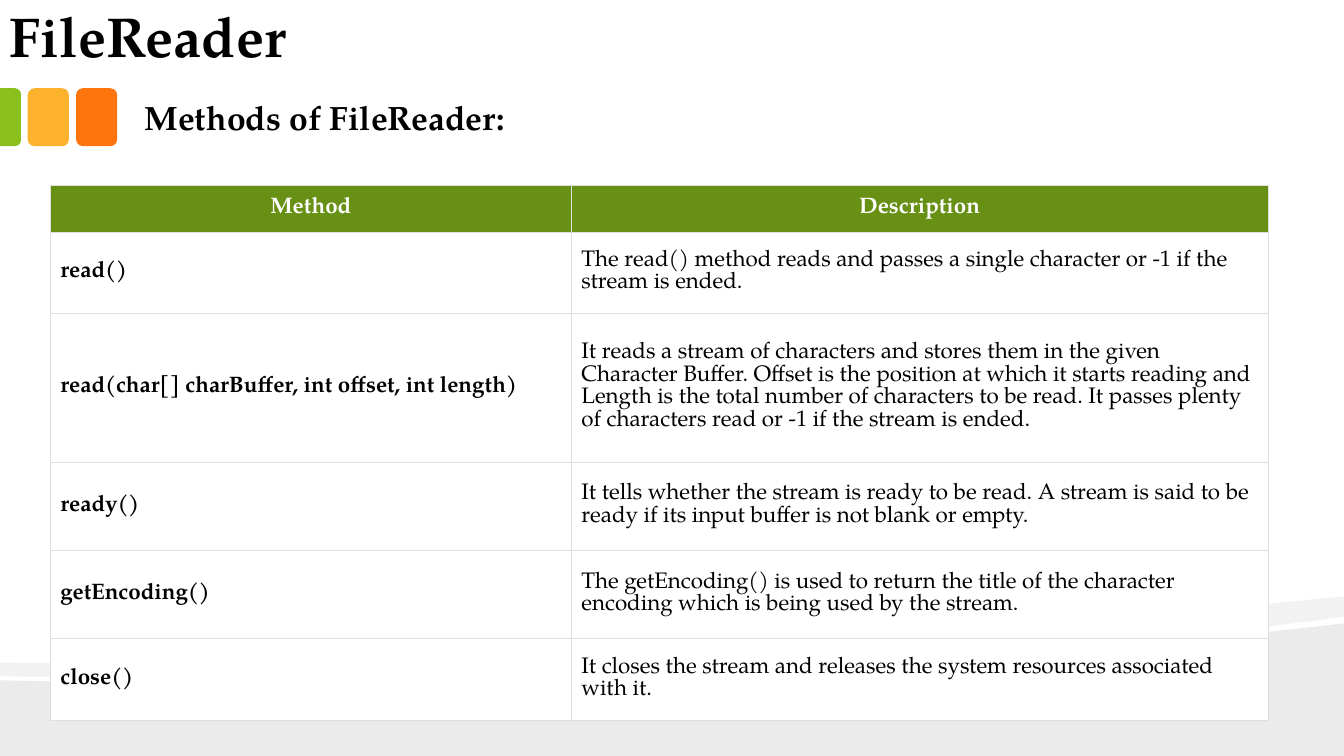
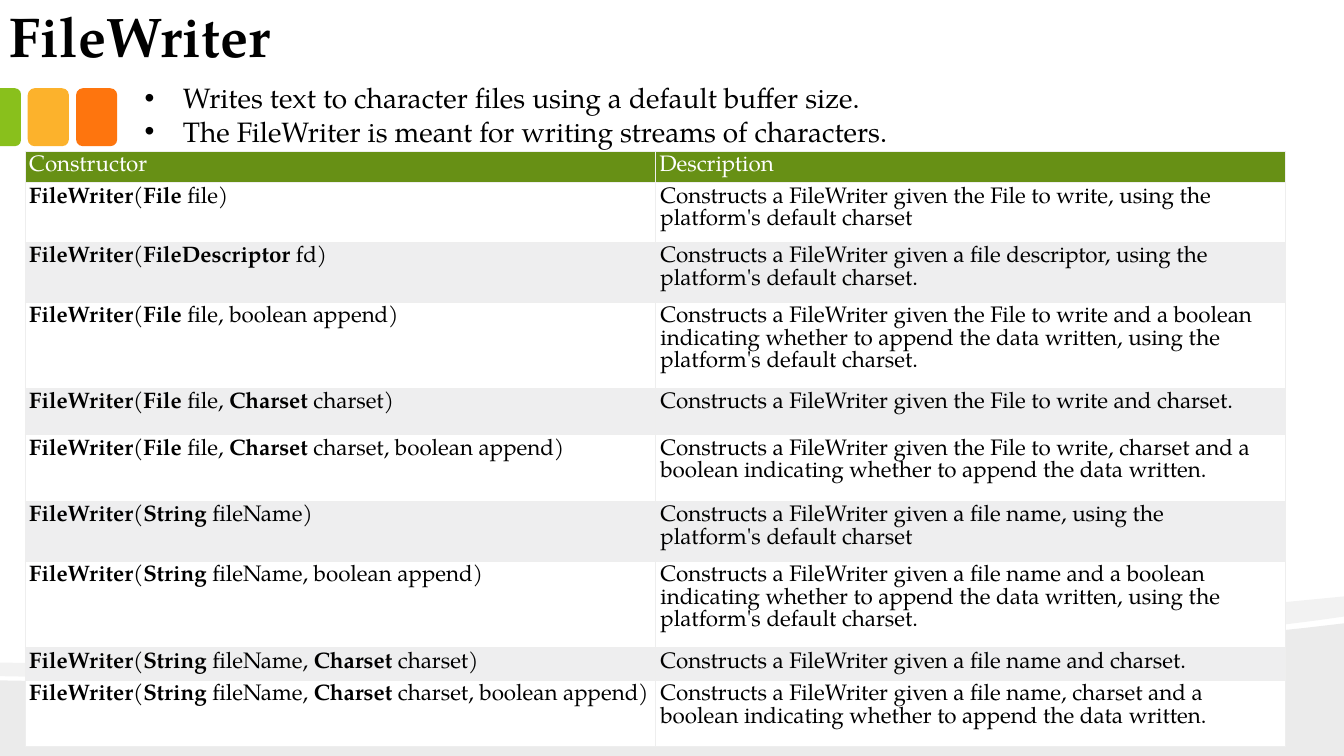
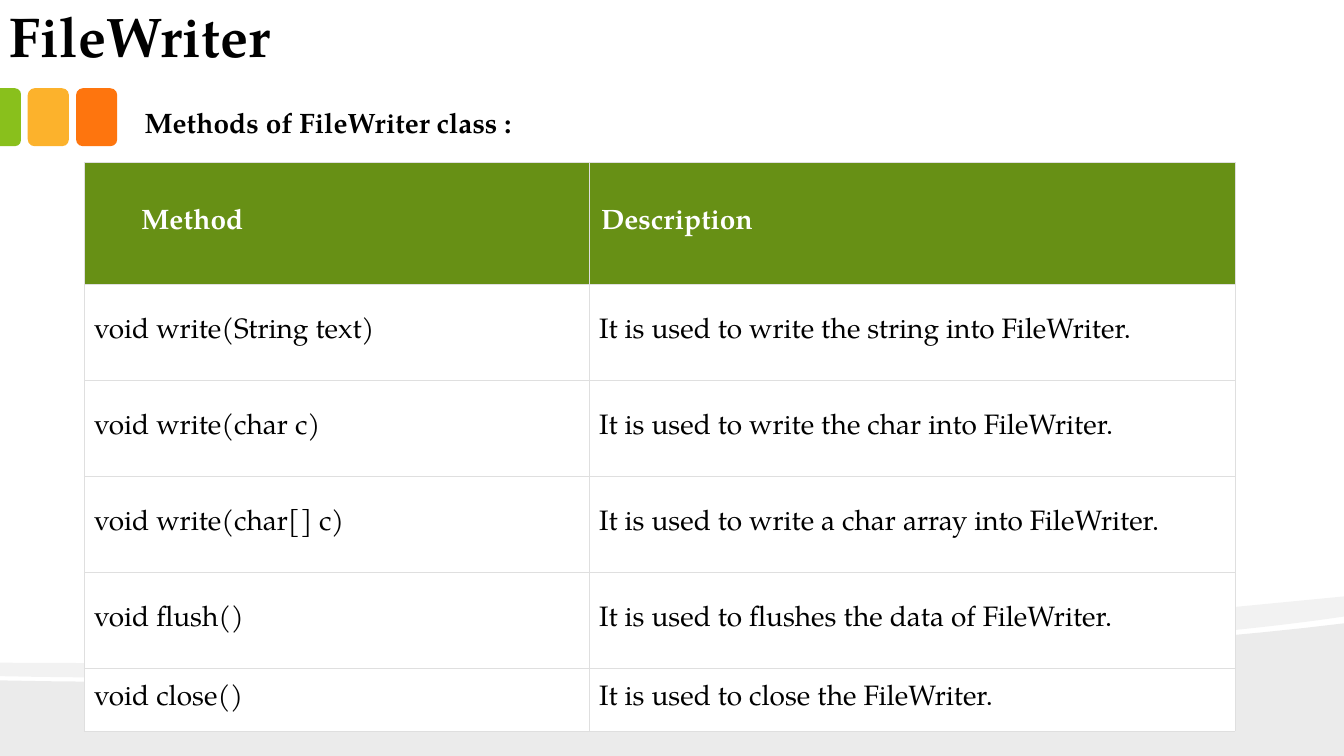
from lxml import etree
from pptx import Presentation
from pptx.dml.color import RGBColor
from pptx.enum.shapes import MSO_SHAPE
from pptx.enum.text import MSO_ANCHOR, MSO_AUTO_SIZE, PP_ALIGN
from pptx.oxml.ns import qn
from pptx.util import Emu, Inches, Pt

ROUND, TAB = MSO_SHAPE.ROUNDED_RECTANGLE, MSO_SHAPE.ROUND_2_SAME_RECTANGLE
TOP, MID, LOW = MSO_ANCHOR.TOP, MSO_ANCHOR.MIDDLE, MSO_ANCHOR.BOTTOM
LEFT, MIDDLE = PP_ALIGN.LEFT, PP_ALIGN.CENTER
FIXED = MSO_AUTO_SIZE.NONE

FACE = "TeX Gyre Pagella"
HUES = {
    "ink": "000000", "paper": "FFFFFF", "head": "679015", "stripe": "EEEEEF",
    "rule": "DFDFDF", "edge": "EEEEEE",
    "green": "89C01C", "gold": "FCB22C", "orange": "FE750E",
}
# The slide is a grid of 160 columns and 90 rows
WIDE, HIGH = Inches(13.33), Inches(7.5)
UNIT = HIGH / 90


def grid(n):
    return Emu(round(n * UNIT))


def hue(name):
    return RGBColor.from_string(HUES[name])


def style(item, **values):
    for key, value in values.items():
        setattr(item, key, value)


def place(shape, box):
    style(shape, **dict(zip(("left", "top", "width", "height"), map(grid, box))))


def inset(item, margins):
    names = ("margin_left", "margin_top", "margin_right", "margin_bottom")
    style(item, **dict(zip(names, map(Inches, margins))))


def write(para, text, size, color="ink", bold=False):
    """Fill a paragraph; parts between asterisks are bold."""
    for i, part in enumerate(text.split("*")):
        if part:
            run = para.add_run()
            run.text = part
            style(run.font, name=FACE, size=Pt(size), bold=bold or i % 2 == 1)
            run.font.color.rgb = hue(color)


# Shared backdrop
def curve(start, c1, c2, end, steps=24):
    for i in range(1, steps + 1):
        t = i / steps
        s = 1 - t
        yield tuple(s**3 * a + 3 * s * s * t * b + 3 * s * t * t * c + t**3 * d
                    for a, b, c, d in zip(start, c1, c2, end))


def paint(shape, color, alpha=None):
    shape.shadow.inherit = False
    shape.fill.solid()
    shape.fill.fore_color.rgb = hue(color)
    shape.line.fill.background()
    if alpha:
        tone = shape.element.spPr.find(".//" + qn("a:srgbClr"))
        etree.SubElement(tone, qn("a:alpha")).set("val", str(alpha * 1000))


def wave(shapes, points, alpha):
    dots = [(grid(x), grid(y)) for x, y in points]
    pen = shapes.build_freeform(*dots[0], scale=1.0)
    pen.add_line_segments(dots[1:], close=True)
    shape = pen.convert_to_shape()
    paint(shape, "ink", alpha)
    return shape


def tile(shapes, kind, box, color):
    shape = shapes.add_shape(kind, *map(grid, box))
    paint(shape, color)
    return shape


def backdrop(slide, layout):
    """Draw the waves and tiles, then hand them to the layout."""
    shapes = slide.shapes
    ground = [(160, 90), (0, 90), (0, 81),
              *curve((0, 81), (42.2, 82), (125, 78.6), (160, 74.2))]
    ribbon = [(160, 73.4),
              *curve((160, 73.4), (150.6, 74.8), (137.9, 76), (123.5, 76.9)),
              *curve((123.5, 76.9), (83.8, 79.6), (31, 81.2), (0, 80.5)),
              (0, 78.9),
              *curve((0, 78.9), (78.2, 79.4), (116.5, 75.2), (160, 71))]
    parts = [wave(shapes, ground, 8), wave(shapes, ribbon, 5)]
    for x, color in ((9.05, "orange"), (3.3, "gold")):
        parts.append(tile(shapes, ROUND, (x, 10.5, 4.9, 6.9), color))
    side = tile(shapes, TAB, (-2.2, 12.7, 6.9, 2.5), "green")
    side.rotation = 90
    side.adjustments[0] = 0.29
    parts.append(side)
    for i, part in enumerate(parts):
        layout.shapes.element.insert(2 + i, part.element)


# Title and lead text
def heading(slide, text):
    title = slide.shapes.title
    place(title, (-0.4, -1, 124.4, 10))
    frame = title.text_frame
    style(frame, auto_size=FIXED, vertical_anchor=LOW, word_wrap=True)
    inset(frame, (0.13, 0.07, 0.13, 0.07))
    para = frame.paragraphs[0]
    para.alignment = LEFT
    write(para, text, 40, bold=True)


def lead(slide, box, lines, size, bullets=False):
    body = slide.placeholders[1]
    place(body, box)
    frame = body.text_frame
    style(frame, auto_size=FIXED, vertical_anchor=TOP, word_wrap=True)
    inset(frame, (0.1, 0.05, 0.1, 0.05))
    for i, line in enumerate(lines):
        para = frame.add_paragraph() if i else frame.paragraphs[0]
        style(para, space_before=Pt(0), alignment=LEFT)
        props = para._p.get_or_add_pPr()
        hang = Inches(0.38) if bullets else 0
        props.set("marL", str(hang))
        props.set("indent", str(-hang))
        if bullets:
            etree.SubElement(props, qn("a:buFont")).set("typeface", "Arial")
            etree.SubElement(props, qn("a:buChar")).set("char", "•")
        else:
            etree.SubElement(props, qn("a:buNone"))
        write(para, line, size, bold=not bullets)


# Tables
def border(cell, color, width):
    props = cell._tc.get_or_add_tcPr()
    for side in ("lnL", "lnR", "lnT", "lnB"):
        line = etree.SubElement(props, qn("a:" + side), w=str(Pt(width)))
        fill = etree.SubElement(line, qn("a:solidFill"))
        etree.SubElement(fill, qn("a:srgbClr"), val=HUES[color])


def sheet(slide, spot, cols, rows, data, look):
    frame = slide.shapes.add_table(len(rows), len(cols), *map(
        grid, (*spot, sum(cols), sum(rows))))
    table = frame.table
    style(table, first_row=False, horz_banding=False)
    for col, width in zip(table.columns, cols):
        col.width = grid(width)
    for row, height in zip(table.rows, rows):
        row.height = grid(height)
    for r, texts in enumerate(data):
        head = r == 0
        fill = "head" if head else "paper" if r % 2 else look["even"]
        for c, text in enumerate(texts):
            cell = table.cell(r, c)
            border(cell, *look["line"])
            cell.fill.solid()
            cell.fill.fore_color.rgb = hue(fill)
            cell.vertical_anchor = look["anchor"]
            inset(cell, look["top" if head else "body"][c])
            para = cell.text_frame.paragraphs[0]
            para.alignment = look["align"] if head else LEFT
            write(para, text, look["size"], "paper" if head else "ink",
                  bold=head and look["bold"])


RULED = {
    "even": "paper", "line": ("rule", 0.25), "anchor": MID, "align": MIDDLE,
    "size": 16, "bold": True,
    "top": [(0.1, 0.1, 0.1, 0.1)] * 2, "body": [(0.1, 0.14, 0.1, 0.14)] * 2,
}
LARGE = {
    **RULED, "size": 20, "align": LEFT,
    "top": [(0.57, 0.1, 0.1, 0.1), (0.12, 0.1, 0.1, 0.1)],
}
BANDED = {
    "even": "stripe", "line": ("edge", 0.75), "anchor": TOP, "align": LEFT,
    "size": 16, "bold": False,
    "top": [(0.04, 0.04, 0.02, 0.02)] * 2,
    "body": [(0.04, 0.04, 0.02, 0.02), (0.05, 0.04, 0.22, 0.02)],
}

READS = [
    ("Method", "Description"),
    ("*read()*", "The read() method reads and passes a single character or -1 "
     "if the stream is ended."),
    ("*read(char[] charBuffer, int offset, int length)*",
     "It reads a stream of characters and stores them in the given Character "
     "Buffer. Offset is the position at which it starts reading and Length is "
     "the total number of characters to be read. It passes plenty of "
     "characters read or -1 if the stream is ended."),
    ("*ready()*", "It tells whether the stream is ready to be read. A stream "
     "is said to be ready if its input buffer is not blank or empty."),
    ("*getEncoding()*", "The getEncoding() is used to return the title of the "
     "character encoding which is being used by the stream."),
    ("*close()*", "It closes the stream and releases the system resources "
     "associated with it."),
]
MAKERS = [
    ("*File* file", "the File to write, using the platform's default charset"),
    ("*FileDescriptor* fd",
     "a file descriptor, using the platform's default charset."),
    ("*File* file, boolean append",
     "the File to write and a boolean indicating whether to append the data "
     "written, using the platform's default charset."),
    ("*File* file, *Charset* charset", "the File to write and charset."),
    ("*File* file, *Charset* charset, boolean append",
     "the File to write, charset and a boolean indicating whether to append "
     "the data written."),
    ("*String* fileName",
     "a file name, using the platform's default charset"),
    ("*String* fileName, boolean append",
     "a file name and a boolean indicating whether to append the data "
     "written, using the platform's default charset."),
    ("*String* fileName, *Charset* charset", "a file name and charset."),
    ("*String* fileName, *Charset* charset, boolean append",
     "a file name, charset and a boolean indicating whether to append the "
     "data written."),
]
WRITES = [
    ("void write(String text)", "write the string into FileWriter."),
    ("void write(char c)", "write the char into FileWriter."),
    ("void write(char[] c)", "write a char array into FileWriter."),
    ("void flush()", "flushes the data of FileWriter."),
    ("void close()", "close the FileWriter."),
]


# Slides
def reader(slide):
    heading(slide, "FileReader")
    lead(slide, (16, 10.95, 135, 6), ["Methods of FileReader:"], 24)
    sheet(slide, (6, 22), (62, 82.9), (5.6, 9.65, 17.75, 10.5, 10.5, 9.75),
          READS, RULED)


def makers(slide):
    heading(slide, "FileWriter")
    lead(slide, (16, 9, 135, 9.2), [
        "Writes text to character files using a default buffer size.",
        "The FileWriter is meant for writing streams of characters.",
    ], 20, bullets=True)
    data = [("Constructor", "Description")]
    data += [(f"*FileWriter*({args})", f"Constructs a FileWriter given {what}")
             for args, what in MAKERS]
    rows = (3.8, 7.1, 7.1, 10.3, 5.5, 7.95, 7.1, 10.3, 3.9, 7.9)
    sheet(slide, (3, 17.98), (75, 75), rows, data, BANDED)


def writer(slide):
    heading(slide, "FileWriter")
    lead(slide, (16, 12, 135, 5.3), ["Methods of FileWriter class :"], 20)
    data = [("Method", "Description")]
    data += [(call, f"It is used to {what}") for call, what in WRITES]
    sheet(slide, (10, 19.35), (60.1, 76.9), (14.45, *[11.43] * 4, 7.5),
          data, LARGE)


def main():
    deck = Presentation()
    style(deck, slide_width=WIDE, slide_height=HIGH)
    layout = deck.slide_layouts[1]
    for i, build in enumerate((reader, makers, writer)):
        slide = deck.slides.add_slide(layout)
        if i == 0:
            backdrop(slide, layout)
        build(slide)
    deck.save("out.pptx")


if __name__ == "__main__":
    main()
